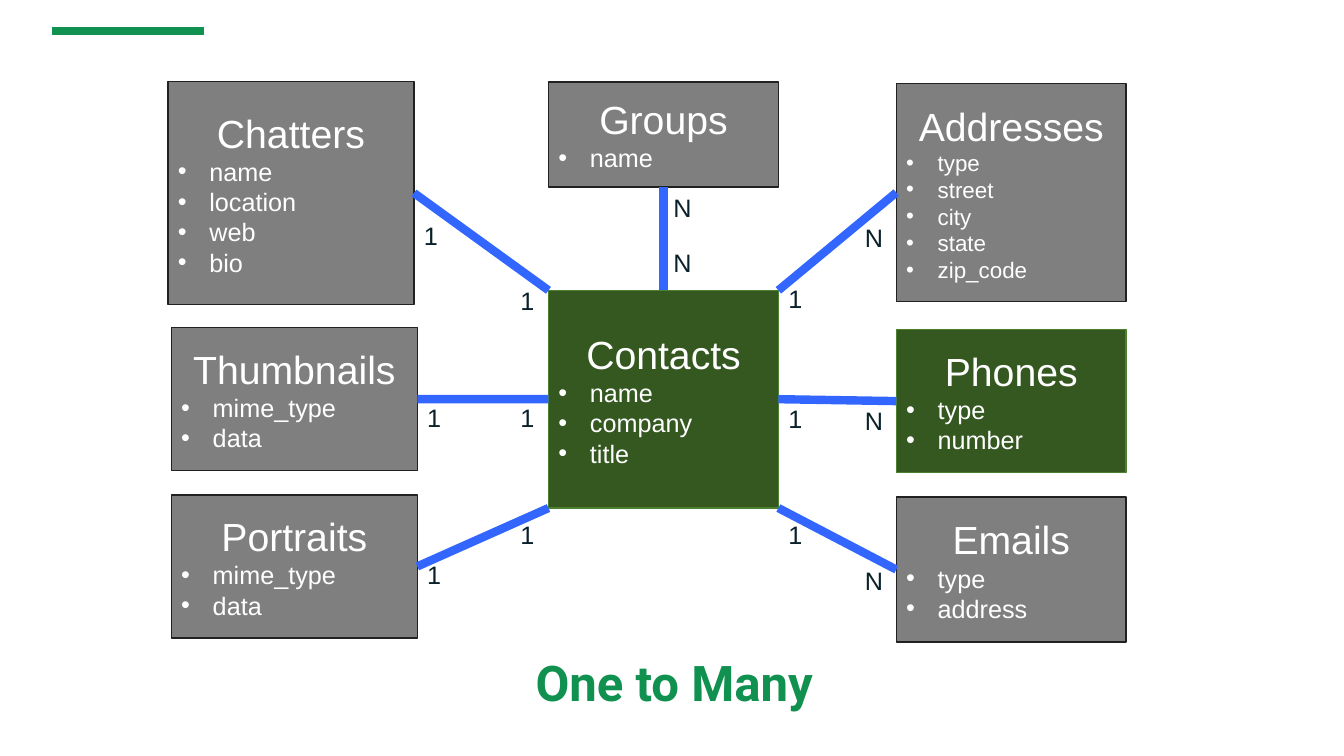
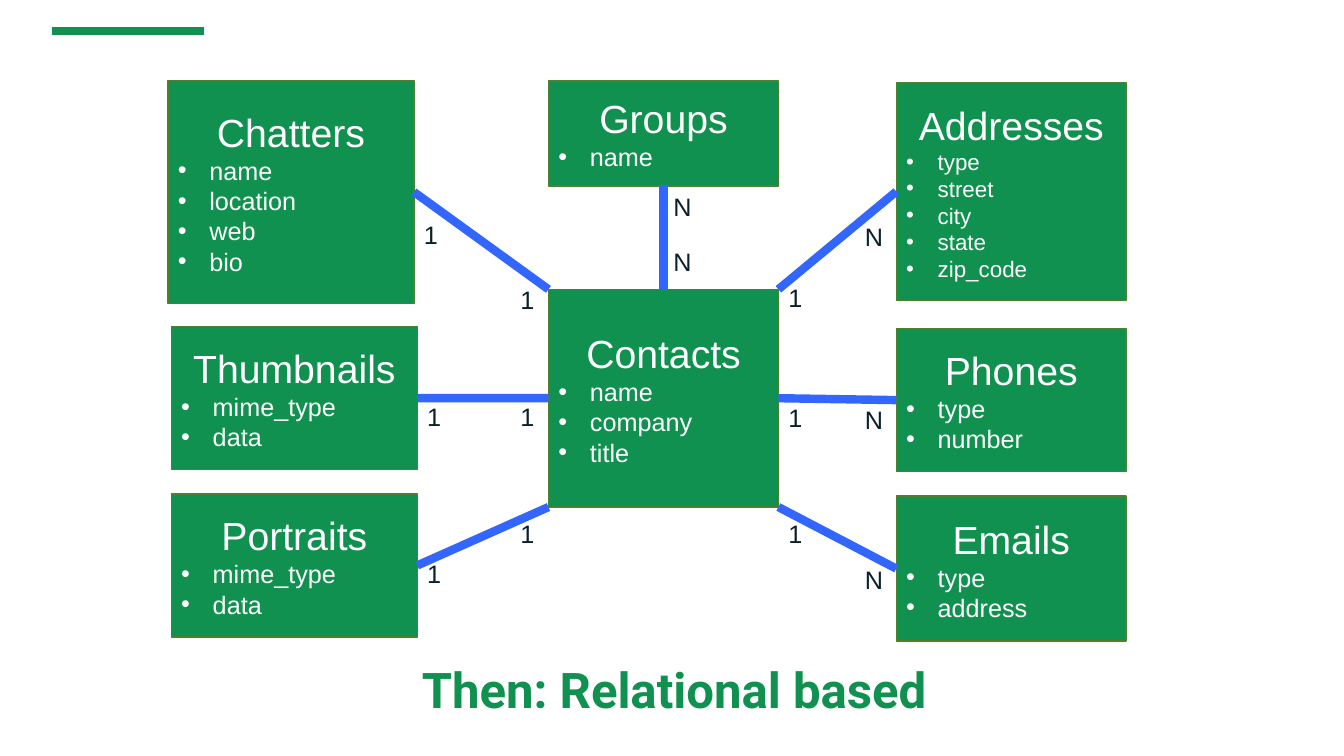
from lxml.etree import SubElement
from pptx import Presentation
from pptx.dml.color import RGBColor
from pptx.enum.shapes import MSO_CONNECTOR as Conn, MSO_SHAPE as Shape
from pptx.enum.text import MSO_ANCHOR as Anchor, PP_ALIGN as Align
from pptx.oxml.ns import qn
from pptx.util import Pt

# Colours
GREEN, DARK, GRAY = "10914F", "345820", "7F7F7F"
EDGE, BLACK, BLUE = "4C812F", "212121", "3366FF"
WHITE, INK = "FFFFFF", "0A202A"

# Connection sites by place on a box, as shares of its width and height
TOP, LEFT, BASE, RIGHT = (0.5, 0), (0, 0.5), (0.5, 1), (1, 0.5)
SITES = {TOP: 0, LEFT: 1, BASE: 2, RIGHT: 3}

# Tables: name, left, top, width, height, field size, fields
WIDE, SLIM = 175.7, 164.2
COL1, COL2, COL3 = 122.4, 391.8, 640.2
HUB = "Contacts"
TABLES = [
    (HUB, COL2, 207.4, SLIM, 155.5, 18, "name company title"),
    ("Addresses", COL3, 59.8, SLIM, 155.5, 16, "type street city state zip_code"),
    ("Phones", COL3, 235.4, SLIM, 102.2, 18, "type number"),
    ("Emails", COL3, 355, SLIM, 103.7, 18, "type address"),
    ("Thumbnails", COL1, 234, WIDE, 102.2, 18, "mime_type data"),
    ("Portraits", COL1, 353.5, WIDE, 102.2, 18, "mime_type data"),
    ("Groups", COL2, 58.5, SLIM, 75, 18, "name"),
    ("Chatters", 120, 58.3, WIDE, 159.1, 18, "name location web bio"),
]

# Links: table, its spot, hub spot, then mark and drop below the line's end for each end
LINKS = [
    ("Thumbnails", RIGHT, LEFT, "1", -1.4, "1", -1.4),
    ("Phones", LEFT, RIGHT, "N", -0.7, "1", -0.7),
    ("Emails", LEFT, (1, 1), "N", -6.5, "1", 4.5),
    ("Portraits", RIGHT, (0, 1), "1", -8.6, "1", 4.5),
    ("Chatters", RIGHT, (0, 0), "1", 16, "1", -7.2),
    ("Groups", BASE, TOP, "N", 0, "N", -34.5),
    ("Addresses", LEFT, (1, 0), "N", 18, "1", -8.5),
]


def color(hex):
    return RGBColor.from_string(hex)


def place(box, spot):
    """Point on a box, in points."""
    return (box.left.pt + spot[0] * box.width.pt,
            box.top.pt + spot[1] * box.height.pt)


class Deck:
    def __init__(self):
        self.prs = Presentation()
        self.prs.slide_width, self.prs.slide_height = Pt(960), Pt(540)

    def start(self, title, top):
        """New slide with the accent bar and the title."""
        self.slide = self.prs.slides.add_slide(self.prs.slide_layouts[6])
        self.line((37.4, 22.3), (145.4, 22.3), GREEN)
        frame = self.text(170.6, top, 622, 67)
        frame.vertical_anchor = Anchor.MIDDLE
        frame.margin_left = frame.margin_right = 0
        frame.margin_top = frame.margin_bottom = 0
        para = frame.paragraphs[0]
        para.alignment, para.line_spacing = Align.CENTER, 0.9
        self.run(para, title, 35.1, GREEN, "Roboto", True)

    def run(self, para, text, size, ink, face="Arial", bold=False):
        run = para.add_run()
        run.text = text
        font = run.font
        font.name, font.size, font.bold = face, Pt(size), bold
        font.color.rgb = color(ink)

    def text(self, x, y, w, h):
        box = self.slide.shapes.add_textbox(Pt(x), Pt(y), Pt(w), Pt(h))
        box.text_frame.word_wrap = True
        return box.text_frame

    def line(self, a, b, ink):
        line = self.slide.shapes.add_connector(
            Conn.STRAIGHT, *(Pt(v) for v in (*a, *b)))
        line.line.color.rgb, line.line.width = color(ink), Pt(6)
        SubElement(line._element.spPr, qn("a:effectLst"))
        return line

    def table(self, name, x, y, w, h, size, fields, fill, edge):
        """Box with a heading and bulleted fields."""
        box = self.slide.shapes.add_shape(
            Shape.RECTANGLE, Pt(x), Pt(y), Pt(w), Pt(h))
        box.shadow.inherit = False
        box.fill.solid()
        box.fill.fore_color.rgb = color(fill)
        box.line.color.rgb, box.line.width = color(edge), Pt(1)
        frame = box.text_frame
        frame.word_wrap, frame.vertical_anchor = True, Anchor.MIDDLE
        head = frame.paragraphs[0]
        head.alignment = Align.CENTER
        self.run(head, name, 28, WHITE)
        for field in fields.split():
            para = frame.add_paragraph()
            para.alignment = Align.LEFT
            self.bullet(para)
            self.run(para, field, size, WHITE)
        return box

    def bullet(self, para):
        props = para._p.get_or_add_pPr()
        props.set("marL", str(Pt(22.5)))
        props.set("indent", str(-Pt(22.5)))
        tint = SubElement(props, qn("a:buClr"))
        SubElement(tint, qn("a:srgbClr"), val=WHITE)
        SubElement(props, qn("a:buFont"), typeface="Arial")
        SubElement(props, qn("a:buChar"), char="•")

    def mark(self, text, end, drop, before):
        """Count beside a line's end, on its left if before is set."""
        w = 29.5 if text == "N" else 27.2
        frame = self.text(end[0] - w * before, end[1] + drop, w, 33)
        self.run(frame.paragraphs[0], text, 18, INK)

    def link(self, box, spot, hub, port):
        """Line between two boxes, joined where it meets a side's middle."""
        a, b = place(box, spot), place(hub, port)
        line = self.line(a, b, BLUE)
        line.begin_connect(box, SITES[spot])
        if port in SITES:
            line.end_connect(hub, SITES[port])
        return a, b

    def schema(self, paint, rise=0):
        """All tables, links and counts; paint gives fill and edge by name."""
        boxes = {}
        for name, x, y, *rest in TABLES:
            boxes[name] = self.table(name, x, y - rise, *rest, *paint(name))
        for name, spot, port, far, sink, near, drop in LINKS:
            a, b = self.link(boxes[name], spot, boxes[HUB], port)
            self.mark(far, a, sink, spot == LEFT)
            self.mark(near, b, drop, port[0] == 0)


def pick(name):
    return (DARK, EDGE) if name in (HUB, "Phones") else (GRAY, BLACK)


def main():
    deck = Deck()
    # Two tables stand out
    deck.start("One to Many", 456.5)
    deck.schema(pick)
    # All tables alike
    deck.start("Then: Relational based", 461.5)
    deck.schema(lambda name: (GREEN, EDGE), 0.7)
    deck.prs.save("out.pptx")


if __name__ == "__main__":
    main()
